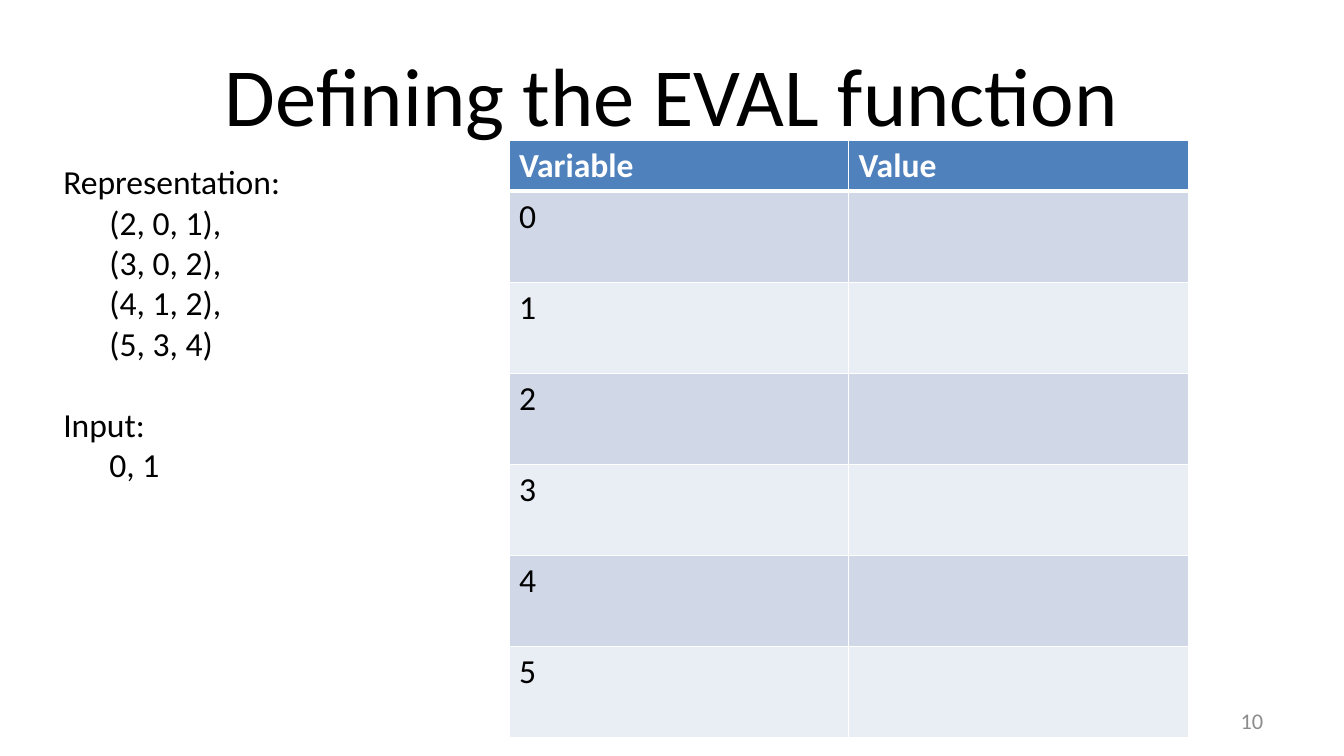
from lxml import etree
from pptx import Presentation
from pptx.dml.color import RGBColor
from pptx.enum.text import MSO_ANCHOR, MSO_AUTO_SIZE, PP_ALIGN
from pptx.oxml.ns import qn
from pptx.util import Pt

LEFT, CENTER, RIGHT = PP_ALIGN.LEFT, PP_ALIGN.CENTER, PP_ALIGN.RIGHT
TOP, MIDDLE = MSO_ANCHOR.TOP, MSO_ANCHOR.MIDDLE
FIXED = MSO_AUTO_SIZE.NONE

FONT = "Calibri"
COLORS = {
    "black": "000000",
    "white": "FFFFFF",
    "gray": "8C8C8C",
    "head": "4F81BD",
    "odd": "D0D8E8",
    "even": "E9EDF4",
}
ITEMS = [
    ("Representation:", 0, 0),
    ("(2, 0, 1),", 33, 0),
    ("(3, 0, 2),", 33, 0),
    ("(4, 1, 2),", 33, 0),
    ("(5, 3, 4)", 33, 0),
    ("Input:", 0, 29),
    ("0, 1", 33, 0),
]
ROWS = [("Variable", "Value")] + [(str(gate), "") for gate in range(6)]


def color(name):
    return RGBColor.from_string(COLORS[name])


def style(para, size, name, align=LEFT, bold=False):
    para.alignment = align
    font = para.font
    font.name, font.size, font.bold = FONT, Pt(size), bold
    font.color.rgb = color(name)


def place(shape, left, top, width, height):
    shape.left, shape.top = Pt(left), Pt(top)
    shape.width, shape.height = Pt(width), Pt(height)


def frame(shape, anchor, side, edge):
    box = shape.text_frame
    box.word_wrap = True
    box.auto_size = FIXED
    box.vertical_anchor = anchor
    box.margin_left = box.margin_right = Pt(side)
    box.margin_top = box.margin_bottom = Pt(edge)
    return box


def add_line(shape, text, size, name, align):
    box = frame(shape, MIDDLE, 9.6, 4.8)
    box.text = text
    style(box.paragraphs[0], size, name, align)


def add_list(shape, items):
    box = frame(shape, TOP, 7.2, 3.6)
    for index, (text, indent, gap) in enumerate(items):
        para = box.add_paragraph() if index else box.paragraphs[0]
        para.text = text
        para.space_before = Pt(gap)
        style(para, 24, "black")
        props = para._p.get_or_add_pPr()
        props.set("marL", str(Pt(indent)))
        props.set("indent", "0")
        props.append(etree.Element(qn("a:buNone")))


def add_edge(cell, side, width):
    props = cell._tc.get_or_add_tcPr()
    edge = etree.SubElement(props, qn("a:ln" + side), w=str(Pt(width)))
    fill = etree.SubElement(edge, qn("a:solidFill"))
    etree.SubElement(fill, qn("a:srgbClr"), val=COLORS["white"])


def fill_cell(cell, text, row):
    cell.text = text
    style(cell.text_frame.paragraphs[0], 24, "black" if row else "white", bold=not row)
    for side in "LRTB":
        thick = (row, side) in ((0, "B"), (1, "T"))
        add_edge(cell, side, 3 if thick else 1)
    cell.fill.solid()
    cell.fill.fore_color.rgb = color(("even", "odd")[row % 2] if row else "head")


def add_grid(slide, rows):
    shape = slide.shapes.add_table(len(rows), 2, Pt(363.6), Pt(100.1), Pt(485.2), Pt(425.5))
    table = shape.table
    for row, texts in enumerate(rows):
        table.rows[row].height = Pt(65) if row else Pt(35.5)
        for col, text in enumerate(texts):
            fill_cell(table.cell(row, col), text, row)


def main():
    deck = Presentation()
    deck.slide_width, deck.slide_height = Pt(960), Pt(540)
    slide = deck.slides.add_slide(deck.slide_layouts[1])
    title, body = slide.placeholders

    place(title, 48, 21.6, 864, 90)
    add_line(title, "Defining the EVAL function", 59, "black", CENTER)
    number = slide.shapes.add_textbox(Pt(688), Pt(500.5), Pt(224), Pt(28.75))
    add_line(number, "10", 16, "gray", RIGHT)
    add_grid(slide, ROWS)
    place(body, 38, 111.6, 396, 240)
    add_list(body, ITEMS)
    deck.save("out.pptx")


if __name__ == "__main__":
    main()
